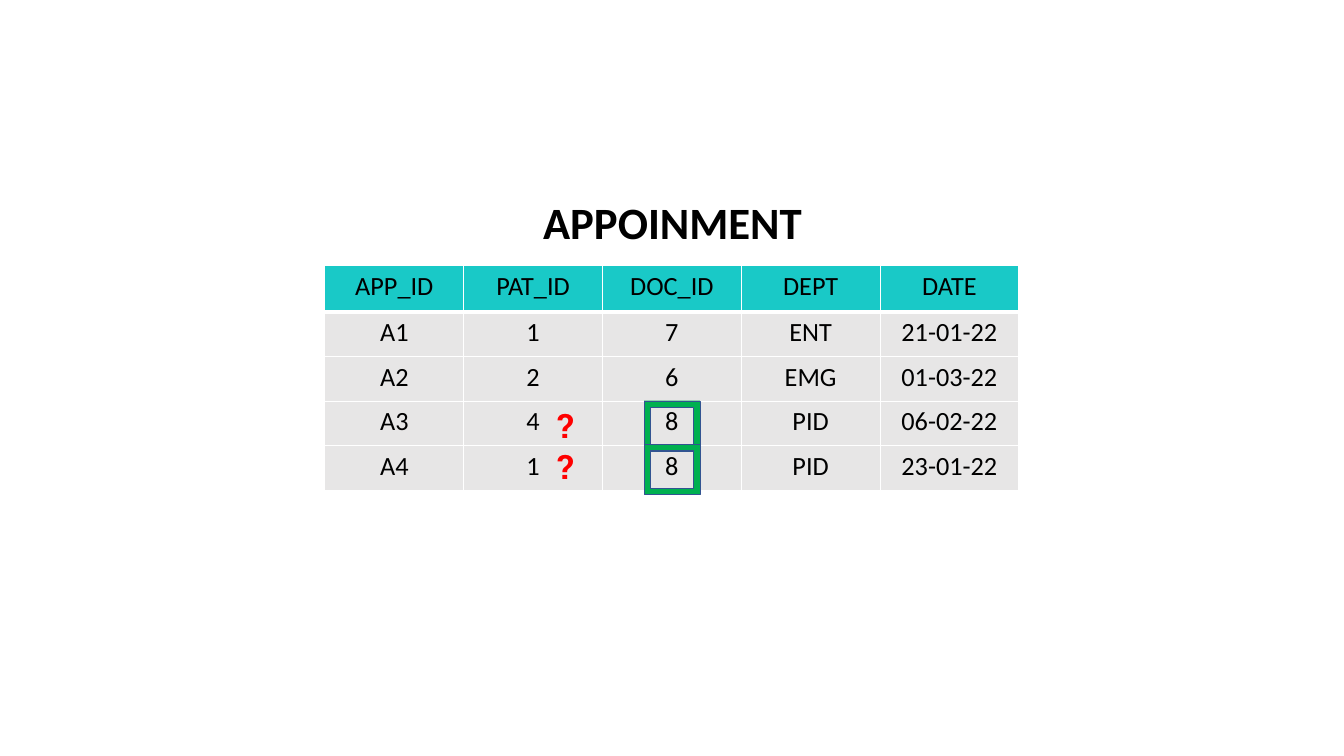
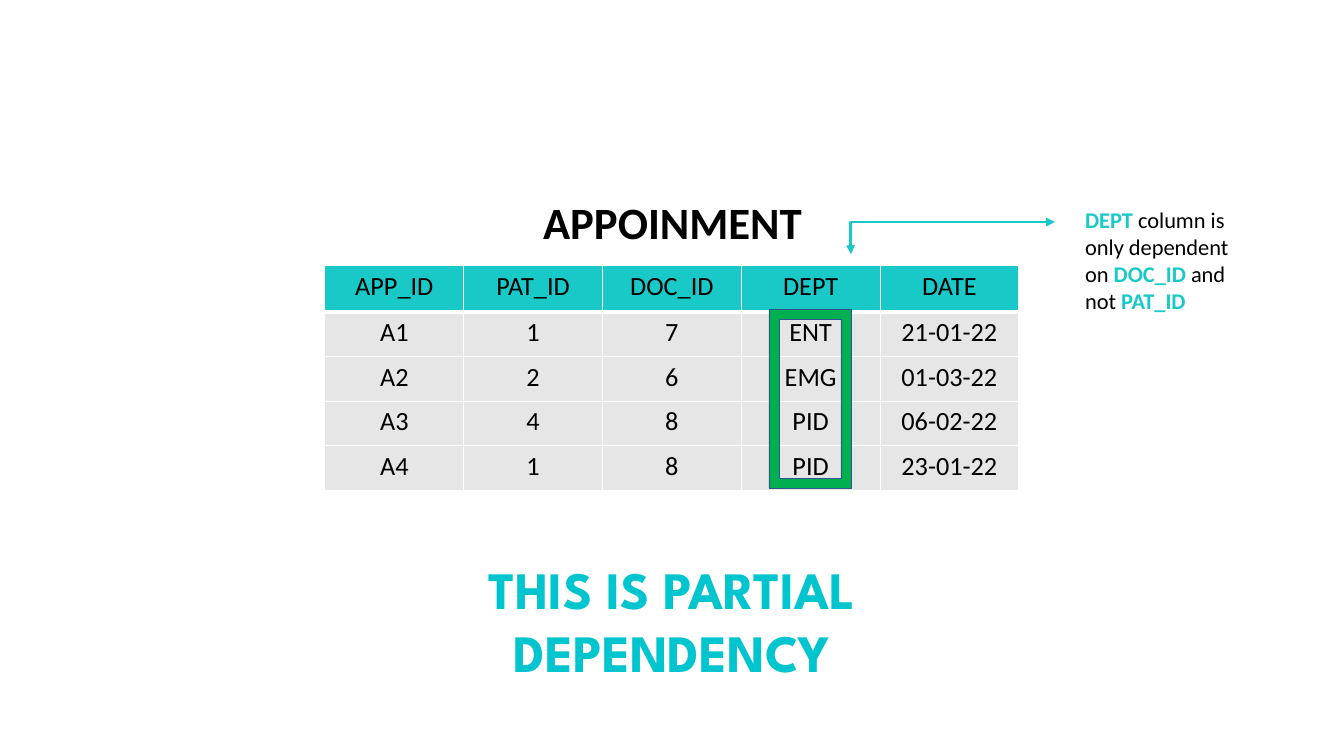
import pptx
import pptx.util
import pptx.dml.color
import pptx.enum.shapes
import pptx.enum.text
import pptx.oxml
import pptx.oxml.ns
import lxml.etree

Pt = pptx.util.Pt
qn = pptx.oxml.ns.qn
align = pptx.enum.text.PP_ALIGN
TEAL, GRAY, GREEN, NAVY = "19C9C7", "E7E6E6", "00B050", "325491"
BLACK, WHITE, RED, CYAN = "000000", "FFFFFF", "FF0000", "00C5CE"


def color(code):
    return pptx.dml.color.RGBColor.from_string(code)


def write(frame, runs, size, font, side=align.LEFT):
    para = frame.paragraphs[0]
    para.alignment = side
    for text, code, bold in runs:
        run = para.add_run()
        run.text = text
        run.font.size = Pt(size)
        run.font.name = font
        run.font.bold = bold
        run.font.color.rgb = color(code)


rows = [
    ["APP_ID", "PAT_ID", "DOC_ID", "DEPT", "DATE"],
    ["A1", "1", "7", "ENT", "21-01-22"],
    ["A2", "2", "6", "EMG", "01-03-22"],
    ["A3", "4", "8", "PID", "06-02-22"],
    ["A4", "1", "8", "PID", "23-01-22"],
]
title = ((398.9, 144.7, 227.5, 49), [("APPOINMENT", BLACK, True)], 34.1, "Calibri", align.CENTER)
note = [
    ("DEPT ", TEAL, True),
    ("column is only dependent on ", BLACK, False),
    ("DOC_ID ", TEAL, True),
    ("and not ", BLACK, False),
    ("PAT_ID", TEAL, True),
]
pages = [
    {
        "frames": [(491, top, 42.5, 38.2) for top in (305.3, 338.4)],
        "texts": [
            ((417.6, top, 38.9, 38.2), [("?", RED, True)], 25.6, "Roboto Slab", align.LEFT)
            for top in (304.6, 336.2)
        ],
    },
    {
        "frames": [(586.1, 235.4, 62.6, 136.8)],
        "texts": [((820.1, 153.4, 128.2, 90), note, 17.1, "Calibri", align.LEFT)],
    },
]

deck = pptx.Presentation()
deck.slide_width, deck.slide_height = Pt(1024.5), Pt(576)

for page in pages:
    slide = deck.slides.add_slide(deck.slide_layouts[6])
    slide.background.fill.solid()
    slide.background.fill.fore_color.rgb = color(WHITE)

    grid = slide.shapes.add_table(5, 5, Pt(247.7), Pt(202.3), Pt(529), Pt(171.3)).table
    grid.horz_banding = False
    for col in grid.columns:
        col.width = Pt(105.8)
    for r, row in enumerate(rows):
        grid.rows[r].height = Pt(34 if r else 35.3)
        for c, text in enumerate(row):
            cell = grid.cell(r, c)
            cell.margin_left = cell.margin_right = Pt(7.9)
            cell.margin_top = cell.margin_bottom = Pt(3.6)
            if r == 0:
                for edge, wide in (("lnL", 1), ("lnR", 1), ("lnT", 1), ("lnB", 3)):
                    line = lxml.etree.SubElement(cell._tc.get_or_add_tcPr(), qn("a:" + edge), w=str(Pt(wide)))
                    fill = lxml.etree.SubElement(line, qn("a:solidFill"))
                    lxml.etree.SubElement(fill, qn("a:srgbClr"), val=WHITE)
            cell.fill.solid()
            cell.fill.fore_color.rgb = color(GRAY if r else TEAL)
            write(cell.text_frame, [(text, BLACK, False)], 20, "Calibri", align.CENTER)

    for box in page["frames"]:
        mark = slide.shapes.add_shape(pptx.enum.shapes.MSO_SHAPE.FRAME, *map(Pt, box))
        mark.rotation = 180
        mark.shadow.inherit = False
        mark.fill.solid()
        mark.fill.fore_color.rgb = color(GREEN)
        mark.line.color.rgb = color(NAVY)
        mark.line.width = Pt(0.25)

    for box, runs, size, font, side in [title] + page["texts"]:
        frame = slide.shapes.add_textbox(*map(Pt, box)).text_frame
        frame.word_wrap = True
        frame.auto_size = pptx.enum.text.MSO_AUTO_SIZE.SHAPE_TO_FIT_TEXT
        write(frame, runs, size, font, side)

link = slide.shapes.add_connector(
    pptx.enum.shapes.MSO_CONNECTOR.ELBOW, Pt(648.7), Pt(193.7), Pt(804.2), Pt(169.2)
)
link.line.color.rgb = color(TEAL)
link.line.width = Pt(2.25)
for end in ("headEnd", "tailEnd"):
    lxml.etree.SubElement(link.line._get_or_add_ln(), qn("a:" + end), type="triangle")
props = link._element.spPr
lxml.etree.SubElement(props, qn("a:effectLst"))
bend = props.find(qn("a:prstGeom")).find(qn("a:avLst"))
lxml.etree.SubElement(bend, qn("a:gd"), name="adj1", fmla="val -200")

frame = slide.shapes.add_textbox(Pt(247.7), Pt(416.9), Pt(529.2), Pt(123.1)).text_frame
frame.word_wrap = True
frame.margin_left = frame.margin_top = frame.margin_right = Pt(7.2)
frame.margin_bottom = 0
write(frame, [("THIS IS PARTIAL DEPENDENCY", CYAN, True)], 40, "League Spartan", align.CENTER)

deck.save("out.pptx")
